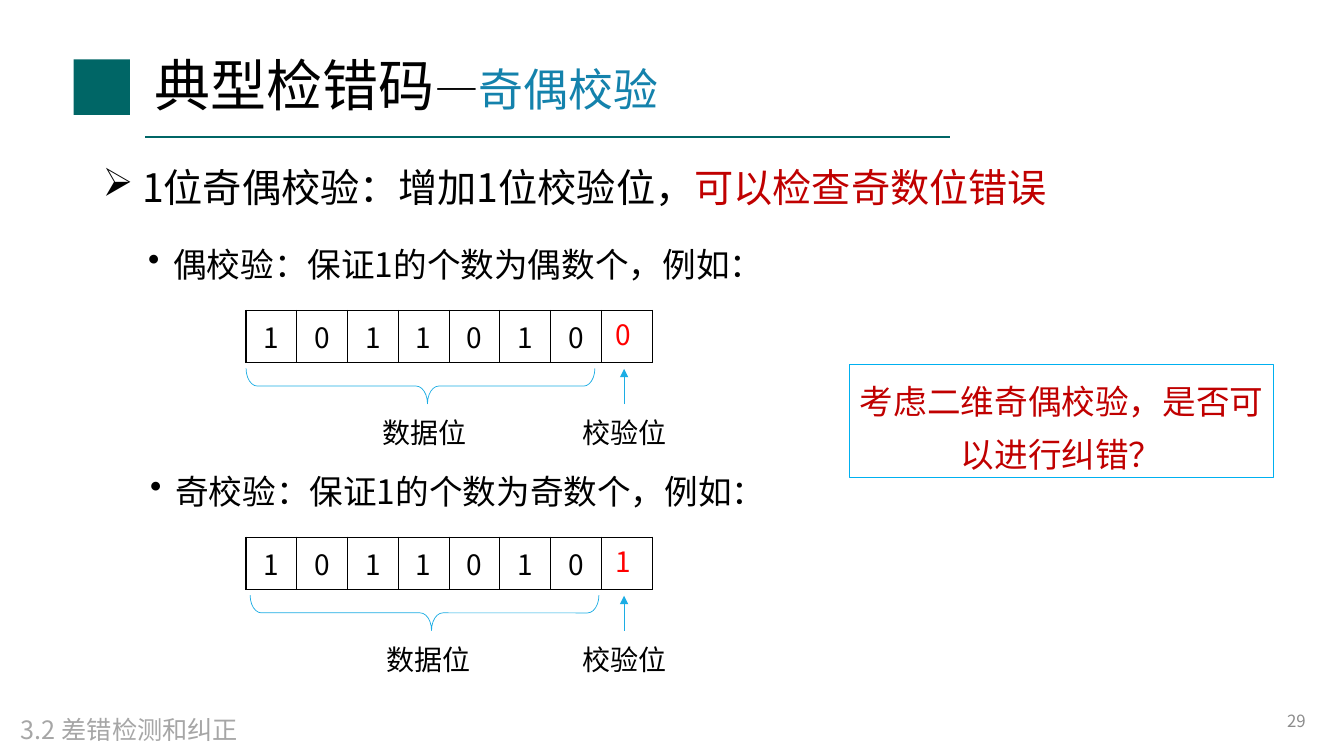
from lxml.etree import SubElement
from pptx import Presentation
from pptx.dml.color import RGBColor
from pptx.enum.shapes import MSO_CONNECTOR as Connector, MSO_SHAPE as Shape
from pptx.enum.text import MSO_ANCHOR as Anchor, MSO_AUTO_SIZE as AutoSize, PP_ALIGN as Align
from pptx.oxml.ns import qn
from pptx.util import Inches, Pt

FONT = "Noto Sans CJK SC"
TEAL, SKY, RED, BLACK, WHITE = "006666", "1CADE4", "C00000", "000000", "FFFFFF"
DATA_BITS = "1011010"


def color(hex_text):
    """Turn a hex string into a colour."""
    return RGBColor.from_string(hex_text)


def inches(*lengths):
    """Convert several lengths given in inches."""
    return [Inches(length) for length in lengths]


def write(frame, runs, size=20, ink=BLACK, align=Align.LEFT, anchor=Anchor.TOP,
          spacing=None, before=0, bullet=None, indent=(0, 0)):
    """Write one paragraph; runs is a text or a list of (text, size, colour)."""
    frame.word_wrap = True
    frame.auto_size = AutoSize.NONE
    frame.vertical_anchor = anchor
    paragraph = frame.paragraphs[0]
    paragraph.alignment = align
    paragraph.space_before = Pt(before)
    if spacing:
        paragraph.line_spacing = spacing
    if bullet:
        properties = paragraph._p.get_or_add_pPr()
        properties.set("marL", str(Inches(indent[0])))
        properties.set("indent", str(Inches(indent[1])))
        SubElement(properties, qn("a:buChar")).set("char", bullet)
    for text, run_size, run_ink in [(runs, size, ink)] if isinstance(runs, str) else runs:
        run = paragraph.add_run()
        run.text = text
        run.font.size = Pt(run_size)
        run.font.name = FONT
        run.font.color.rgb = color(run_ink)
        SubElement(run._r.get_or_add_rPr(), qn("a:ea")).set("typeface", FONT)


def add_text(slide, box, runs, **text_format):
    """Add a text box."""
    write(slide.shapes.add_textbox(*inches(*box)).text_frame, runs, **text_format)


def add_box(slide, kind, box, fill=None, line=None, width=0.5):
    """Add a preset shape without shadow."""
    shape = slide.shapes.add_shape(kind, *inches(*box))
    shape.shadow.inherit = False
    if fill:
        shape.fill.solid()
        shape.fill.fore_color.rgb = color(fill)
    else:
        shape.fill.background()
    if line:
        shape.line.color.rgb = color(line)
        shape.line.width = Pt(width)
    else:
        shape.line.fill.background()
    return shape


def add_line(slide, start, end, ink, width, arrow=False):
    """Add a straight line, with an arrowhead at its end on request."""
    line = slide.shapes.add_connector(Connector.STRAIGHT, *inches(*start, *end))
    line.line.color.rgb = color(ink)
    line.line.width = Pt(width)
    if arrow:
        SubElement(line.line._get_or_add_ln(), qn("a:tailEnd")).set("type", "triangle")
    SubElement(line._element.spPr, qn("a:effectLst"))


def add_header(slide, left, top):
    """Place the emblem square, the title and the rule below it."""
    add_box(slide, Shape.RECTANGLE, (left, top, 0.56, 0.55), fill=TEAL)
    add_line(slide, (left + 0.71, top + 0.77), (left + 8.69, top + 0.77), TEAL, 1.5)
    title = slide.shapes.title
    title.left, title.top, title.width, title.height = inches(left + 0.7, top - 0.19, 8.99, 0.96)
    write(title.text_frame,
          [("典型检错码", 40, BLACK), ("—", 32, BLACK), ("奇偶校验", 32, "1482AC")],
          anchor=Anchor.MIDDLE, spacing=0.9)


def add_bit_row(slide, left, top, width, height):
    """Draw the data bits as a table with an empty last cell for the check bit."""
    count = len(DATA_BITS) + 1
    table = slide.shapes.add_table(1, count, *inches(left, top, width, height)).table
    table.first_row = table.horz_banding = False
    for index in range(count):
        table.columns[index].width = Inches(width / count)
        cell = table.cell(0, index)
        for side in ("a:lnL", "a:lnR", "a:lnT", "a:lnB"):
            border = SubElement(cell._tc.get_or_add_tcPr(), qn(side), w=str(Pt(1)))
            fill = SubElement(border, qn("a:solidFill"))
            SubElement(fill, qn("a:srgbClr")).set("val", BLACK)
        cell.fill.solid()
        cell.fill.fore_color.rgb = color(WHITE)
        cell.vertical_anchor = Anchor.MIDDLE
        if index < len(DATA_BITS):
            write(cell.text_frame, DATA_BITS[index], align=Align.CENTER, anchor=Anchor.MIDDLE)


def add_parity_example(slide, left, top, rule, check_bit, check_top, data_shift=0):
    """Place one parity rule with its bit row, brace, arrow and labels."""
    add_text(slide, (left, top, 11.61, 0.65), rule, size=24, spacing=Pt(38), before=6,
             bullet="•", indent=(0.75, -0.25))
    row_left, row_top = 2.44, top + 0.84
    add_bit_row(slide, row_left, row_top, 4.03, 0.52)
    check = add_box(slide, Shape.RECTANGLE, (row_left + 3.56, row_top + check_top, 0.37, 0.34),
                    fill=WHITE)
    write(check.text_frame, check_bit, ink="FF0000", align=Align.CENTER,
          anchor=Anchor.MIDDLE, spacing=Pt(16))

    data_left, depth, span = row_left + data_shift, 0.35, 3.46
    brace = add_box(slide, Shape.RIGHT_BRACE,
                    (data_left + (span - depth) / 2, row_top + 0.75 - span / 2, depth, span),
                    line=SKY)
    brace.rotation = 90
    brace.adjustments[0], brace.adjustments[1] = 0.32, 0.48
    arrow_x = row_left + 3.75
    add_line(slide, (arrow_x, row_top + 0.93), (arrow_x, row_top + 0.58), SKY, 0.5, arrow=True)
    for label, label_left in (("数据位", data_left + 0.98), ("校验位", row_left + 2.96)):
        add_text(slide, (label_left, row_top + 0.99, 1.59, 0.44), label, align=Align.CENTER)


def add_question(slide, box):
    """Place the framed question."""
    frame = add_box(slide, Shape.RECTANGLE, box, line="00B0F0", width=0.75)
    write(frame.text_frame, "考虑二维奇偶校验，是否可以进行纠错？", size=24, ink=RED,
          align=Align.CENTER, anchor=Anchor.MIDDLE, spacing=Pt(38))


def add_footer(slide, left, top):
    """Place the section name and the page number."""
    add_text(slide, (left, top, 3.29, 0.4), "3.2 差错检测和纠正", size=18, ink="A6A6A6")
    add_text(slide, (left + 9.31, top - 0.09, 3.63, 0.4), "29", size=12, ink="8C8C8C",
             align=Align.RIGHT, anchor=Anchor.MIDDLE)


def main():
    """Build the slide and save it."""
    deck = Presentation()
    deck.slide_width, deck.slide_height = inches(13.33, 7.5)
    slide = deck.slides.add_slide(deck.slide_layouts[5])
    add_header(slide, 0.73, 0.59)
    add_text(slide, (0.92, 1.51, 11.61, 0.65),
             [("1位奇偶校验：增加1位校验位，", 28, BLACK), ("可以检查奇数位错误", 28, RED)],
             spacing=Pt(38), before=6, bullet="➢", indent=(0.39, -0.39))
    add_parity_example(slide, 0.87, 2.24, "偶校验：保证1的个数为偶数个，例如：", "0", 0.12)
    add_parity_example(slide, 0.89, 4.49, "奇校验：保证1的个数为奇数个，例如：", "1", 0.12,
                       data_shift=0.04)
    add_question(slide, (8.43, 3.62, 4.2, 1.12))
    add_footer(slide, 0.11, 7.04)
    deck.save("out.pptx")


if __name__ == "__main__":
    main()
